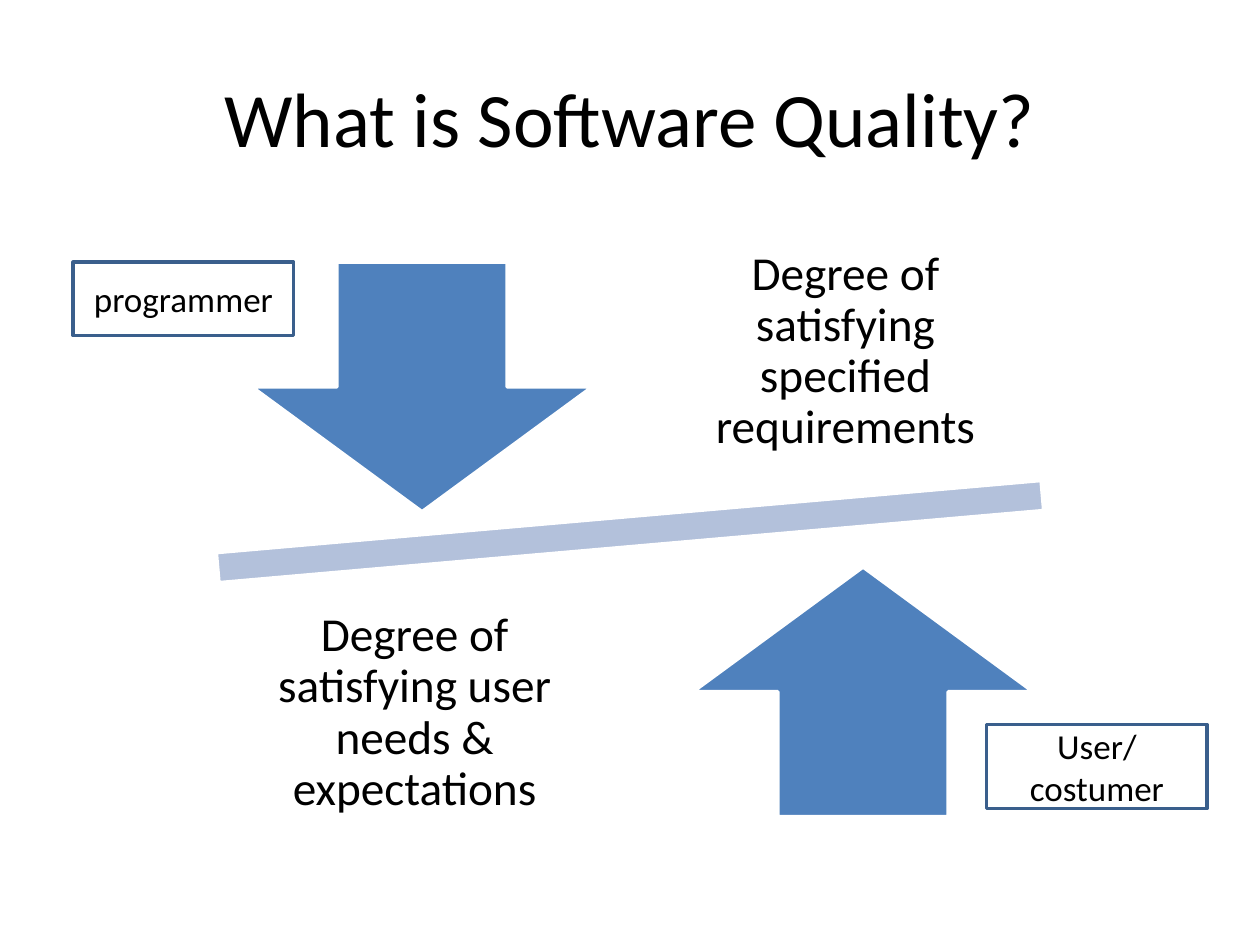
from dataclasses import dataclass

from pptx import Presentation
from pptx.dml.color import RGBColor
from pptx.enum.shapes import MSO_SHAPE
from pptx.enum.text import MSO_ANCHOR, PP_ALIGN
from pptx.util import Pt

BAR, RECTANGLE = MSO_SHAPE.MATH_MINUS, MSO_SHAPE.RECTANGLE
DOWN, UP = MSO_SHAPE.DOWN_ARROW, MSO_SHAPE.UP_ARROW
MIDDLE, CENTER = MSO_ANCHOR.MIDDLE, PP_ALIGN.CENTER
TITLE_ONLY = 5


@dataclass(frozen=True)
class Theme:
    font: str = "Calibri"
    ink: str = "000000"
    arrow: str = "4F81BD"
    bar: str = "B3C1DB"
    edge: str = "FFFFFF"
    label_edge: str = "3A5F8C"
    line_width: float = 2
    title_size: float = 44
    statement_size: float = 27
    label_size: float = 20


THEME = Theme()


def set_text(frame, wording, size, line_spacing=None, inset=None):
    """Write one centred paragraph into a text frame."""
    frame_format = {"text": wording, "word_wrap": True, "vertical_anchor": MIDDLE}
    if inset is not None:
        sides = ("left", "top", "right", "bottom")
        frame_format.update({f"margin_{side}": Pt(inset) for side in sides})
    paragraph = frame_format_target = None
    for name, value in frame_format.items():
        setattr(frame, name, value)
    paragraph = frame.paragraphs[0]
    paragraph.alignment = CENTER
    paragraph.line_spacing = line_spacing
    font = paragraph.runs[0].font
    for name, value in {"name": THEME.font, "size": Pt(size)}.items():
        setattr(font, name, value)
    font.color.rgb = RGBColor.from_string(THEME.ink)


def add_figure(slide, preset, box, edge, fill=None, rotation=0):
    """Add an outlined preset shape, filled only when a colour is given."""
    figure = slide.shapes.add_shape(preset, *map(Pt, box))
    figure.shadow.inherit = False
    figure.rotation = rotation
    if fill:
        figure.fill.solid()
        figure.fill.fore_color.rgb = RGBColor.from_string(fill)
    else:
        figure.fill.background()
    figure.line.color.rgb = RGBColor.from_string(edge)
    figure.line.width = Pt(THEME.line_width)
    return figure


def add_title(slide, wording):
    title = slide.shapes.title
    place = {"left": 36, "top": 21.6, "width": 648, "height": 90}
    for name, value in place.items():
        setattr(title, name, Pt(value))
    set_text(title.text_frame, wording, THEME.title_size)


def add_statement(slide, left, top, wording):
    statement = slide.shapes.add_textbox(Pt(left), Pt(top), Pt(207.4), Pt(149.8))
    set_text(statement.text_frame, wording, THEME.statement_size, 0.9, 15)


def add_arrow(slide, direction, left, top):
    add_figure(slide, direction, (left, top, 194.4, 142.6), THEME.edge, THEME.arrow)


def add_role(slide, left, top, height, wording):
    role = add_figure(slide, RECTANGLE, (left, top, 126, height), THEME.label_edge)
    set_text(role.text_frame, wording, THEME.label_size)


def main():
    deck = Presentation()
    deck.slide_width, deck.slide_height = Pt(720), Pt(540)
    slide = deck.slides.add_slide(deck.slide_layouts[TITLE_ONLY])
    add_title(slide, "What is Software Quality?")

    # Tilted balance bar
    add_figure(slide, BAR, (38.2, 267.1, 643.7, 73.4), THEME.edge, THEME.bar, 355)

    # Opposing arrows, each with its statement
    add_arrow(slide, DOWN, 144, 149.8)
    add_statement(slide, 379.4, 126, "Degree of satisfying specified requirements")
    add_arrow(slide, UP, 396, 324)
    add_statement(slide, 133.2, 332.6, "Degree of satisfying user needs & expectations")

    # Roles beside the arrows
    add_role(slide, 41.8, 149.8, 42, "programmer")
    add_role(slide, 563.8, 414, 48, "User/ costumer")

    deck.save("out.pptx")


main()
